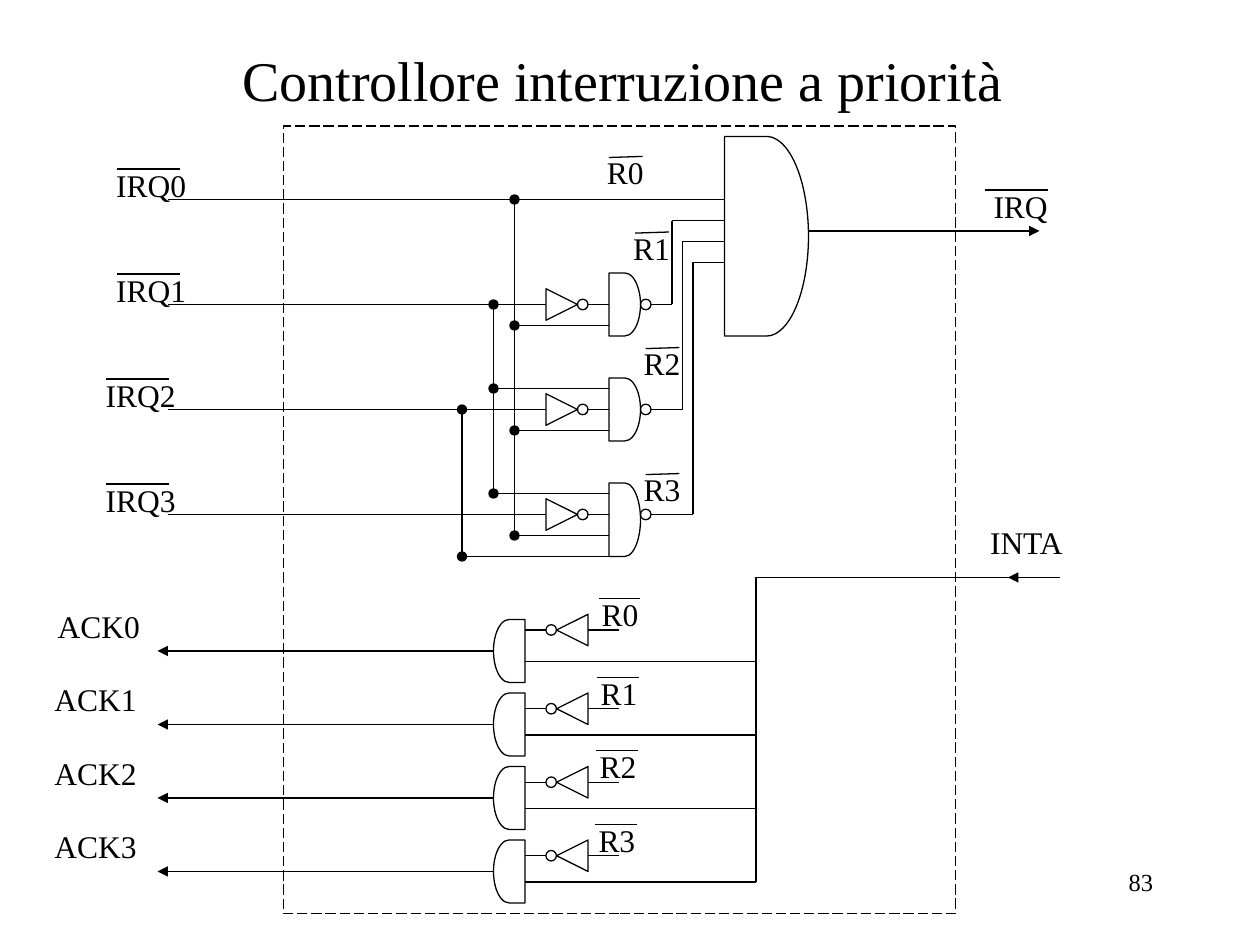
from dataclasses import dataclass

from lxml import etree
from pptx import Presentation
from pptx.dml.color import RGBColor
from pptx.enum import dml, shapes, text
from pptx.oxml import ns
from pptx.util import Emu, Pt

PX = 7620
FONT = "Times New Roman"
INK = "000000"
KIND = shapes.MSO_SHAPE


@dataclass
class Label:
    word: str
    x: int
    y: int
    w: int


@dataclass
class Wire:
    x1: int
    y1: int
    x2: int
    y2: int
    head: str = ""
    tail: str = ""


@dataclass
class Request:
    y: int
    high: int
    bus: int
    port: int


@dataclass
class Reply:
    gate: int
    mid: int
    tag: int
    ack: int


@dataclass
class Tap:
    x: int
    top: int
    ends: tuple[int, ...]


REQUESTS = [
    Request(290, 60, 640, 210),
    Request(390, 60, 650, 230),
    Request(490, 70, 660, 250),
]
TAPS = [
    Tap(490, 190, (310, 410, 510)),
    Tap(470, 290, (370, 470)),
    Tap(440, 390, (530,)),
]
REPLIES = [
    Reply(590, 600, 561, 43),
    Reply(660, 675, 560, 40),
    Reply(730, 745, 559, 40),
    Reply(800, 815, 558, 40),
]
INPUTS = [(98, 152), (98, 252), (88, 352), (88, 452)]
RESULTS = [(566, 140), (591, 212), (601, 322), (601, 442)]


def px(size: int) -> Emu:
    return Emu(size * PX)


def paint(value: str) -> RGBColor:
    return RGBColor.from_string(value)


def write(frame, word: str, size: int, align) -> None:
    para = frame.paragraphs[0]
    para.alignment = align
    run = para.add_run()
    run.text = word
    run.font.name = FONT
    run.font.size = Pt(size)
    run.font.color.rgb = paint(INK)


def draw_wire(slide, wire: Wire) -> None:
    ends = map(px, (wire.x1, wire.y1, wire.x2, wire.y2))
    item = slide.shapes.add_connector(shapes.MSO_CONNECTOR.STRAIGHT, *ends)
    item.line.color.rgb = paint(INK)
    item.line.width = Pt(0.75)
    line = item.line._get_or_add_ln()
    for tag, mark in (("a:headEnd", wire.head), ("a:tailEnd", wire.tail)):
        if mark:
            etree.SubElement(line, ns.qn(tag)).set("type", mark)
    etree.SubElement(item._element.spPr, ns.qn("a:effectLst"))


def draw_part(slide, kind, x: int, y: int, w: int, h: int, turn: int = 0, flip: bool = False):
    part = slide.shapes.add_shape(kind, px(x), px(y), px(w), px(h))
    part.rotation = turn
    part.shadow.inherit = False
    part.fill.background()
    part.line.color.rgb = paint(INK)
    part.line.width = Pt(0.75)
    if flip:
        part._element.spPr.get_or_add_xfrm().flipH = True
    return part


def draw_label(slide, label: Label) -> None:
    box = slide.shapes.add_textbox(px(label.x), px(label.y), px(label.w), px(48))
    box.text_frame.word_wrap = False
    box.text_frame.auto_size = text.MSO_AUTO_SIZE.SHAPE_TO_FIT_TEXT
    write(box.text_frame, label.word, 18, text.PP_ALIGN.CENTER)


def draw_barred(slide, label: Label, shift: int, size: int, rise: int = 0) -> None:
    draw_label(slide, label)
    left, top = label.x + shift, label.y + 9 + rise
    draw_wire(slide, Wire(left, top, left + size, top - rise))


def draw_request(slide, req: Request) -> None:
    y = req.y
    draw_part(slide, KIND.FLOWCHART_EXTRACT, 520, y - 15, 30, 30, 90)
    draw_part(slide, KIND.FLOWCHART_DELAY, 580, y - 30, 30, req.high)
    for x in (550, 610):
        draw_part(slide, KIND.OVAL, x, y - 5, 10, 10)
    for wire in (
        Wire(160, y, 520, y),
        Wire(560, y, 580, y),
        Wire(620, y, req.bus, y),
        Wire(req.bus, req.port, req.bus, y),
        Wire(690, req.port, req.bus, req.port),
    ):
        draw_wire(slide, wire)


def draw_tap(slide, tap: Tap) -> None:
    draw_wire(slide, Wire(tap.x, tap.top, tap.x, tap.ends[-1], head="oval"))
    for y in tap.ends:
        draw_wire(slide, Wire(tap.x, y, 580, y, head="oval"))


def draw_reply(slide, rank: int, rep: Reply) -> None:
    mid, gate = rep.mid, rep.gate
    draw_part(slide, KIND.FLOWCHART_DELAY, 470, gate, 30, 60, flip=True)
    draw_part(slide, KIND.FLOWCHART_EXTRACT, 530, mid - 15, 30, 30, 270, True)
    draw_part(slide, KIND.OVAL, 520, mid - 5, 10, 10, flip=True)
    for wire in (
        Wire(520, mid, 500, mid),
        Wire(560, mid, 590, mid),
        Wire(720, gate + 40, 500, gate + 40),
        Wire(470, gate + 30, 150, gate + 30, tail="triangle"),
    ):
        draw_wire(slide, wire)
    draw_barred(slide, Label(f"R{rank}", rep.tag, mid - 39, 59), 9, 40)
    draw_label(slide, Label(f"ACK{rank}", rep.ack, gate - 18, 102))


def main() -> None:
    deck = Presentation()
    deck.slide_width, deck.slide_height = px(1200), px(900)
    slide = deck.slides.add_slide(deck.slide_layouts[5])

    title = slide.shapes.title
    title.left, title.top, title.width, title.height = map(px, (90, 0, 1020, 150))
    title.text_frame.vertical_anchor = text.MSO_ANCHOR.MIDDLE
    write(title.text_frame, "Controllore interruzione a priorità ", 32, text.PP_ALIGN.CENTER)

    page = slide.shapes.add_textbox(px(860), px(820), px(250), px(60))
    page.text_frame.word_wrap = True
    write(page.text_frame, "83", 14, text.PP_ALIGN.RIGHT)

    frame = draw_part(slide, KIND.RECTANGLE, 270, 120, 640, 750)
    frame.line.dash_style = dml.MSO_LINE.LONG_DASH
    draw_part(slide, KIND.FLOWCHART_DELAY, 690, 130, 80, 190)
    for wire in (
        Wire(160, 190, 690, 190),
        Wire(770, 220, 990, 220, tail="triangle"),
        Wire(1010, 550, 960, 550, tail="triangle"),
        Wire(970, 550, 720, 550),
        Wire(720, 550, 720, 840),
    ):
        draw_wire(slide, wire)

    for req in REQUESTS:
        draw_request(slide, req)
    for tap in TAPS:
        draw_tap(slide, tap)
    for rank, (x, y) in enumerate(INPUTS):
        draw_barred(slide, Label(f"IRQ{rank}", x, y, 92), 13, 60)
    for rank, (x, y) in enumerate(RESULTS):
        draw_barred(slide, Label(f"R{rank}", x, y, 59), 14, 32, 1)
    for rank, rep in enumerate(REPLIES):
        draw_reply(slide, rank, rep)
    draw_barred(slide, Label("IRQ", 934, 172, 76), 4, 60)
    draw_label(slide, Label("INTA", 930, 492, 95))

    deck.save("out.pptx")


if __name__ == "__main__":
    main()
